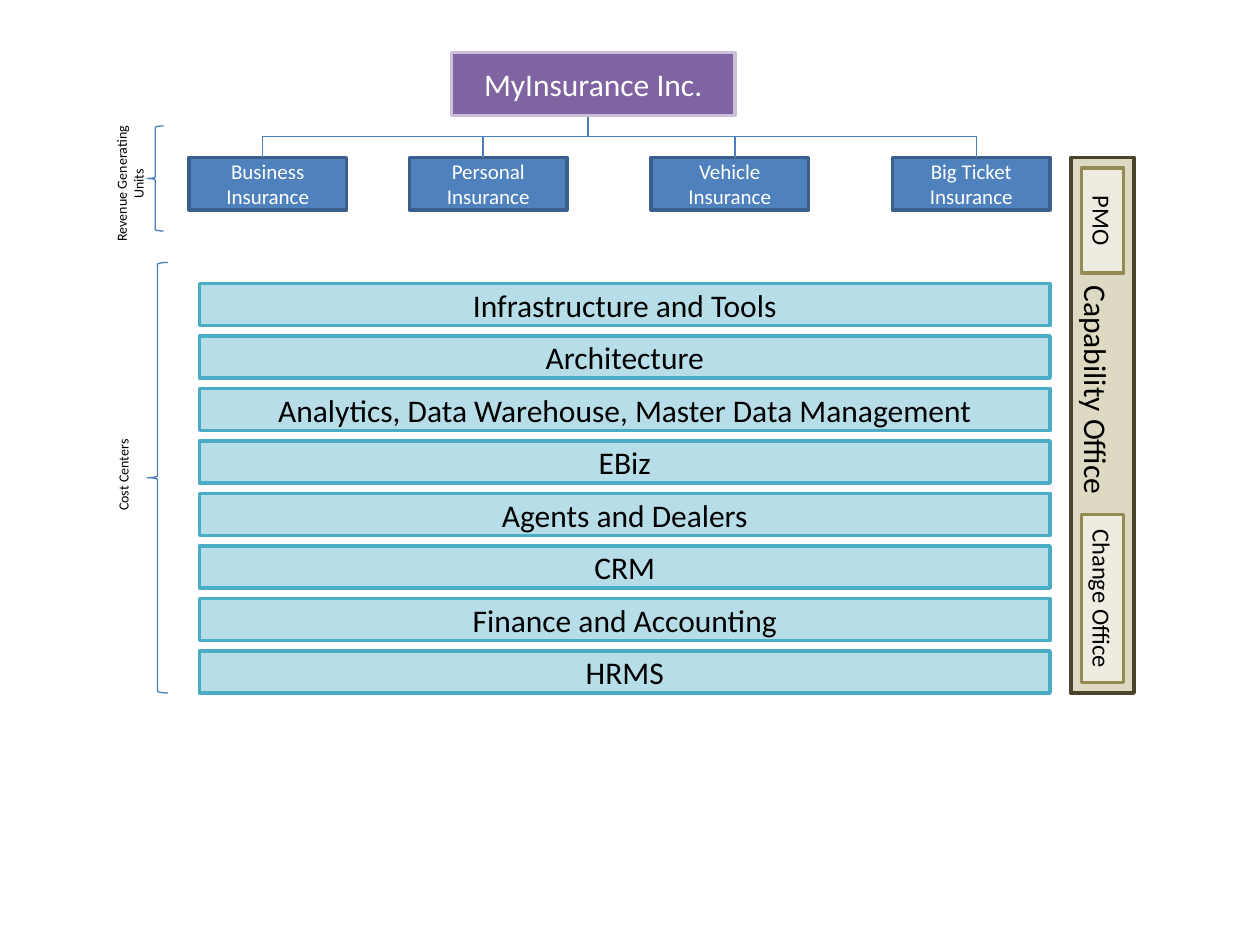
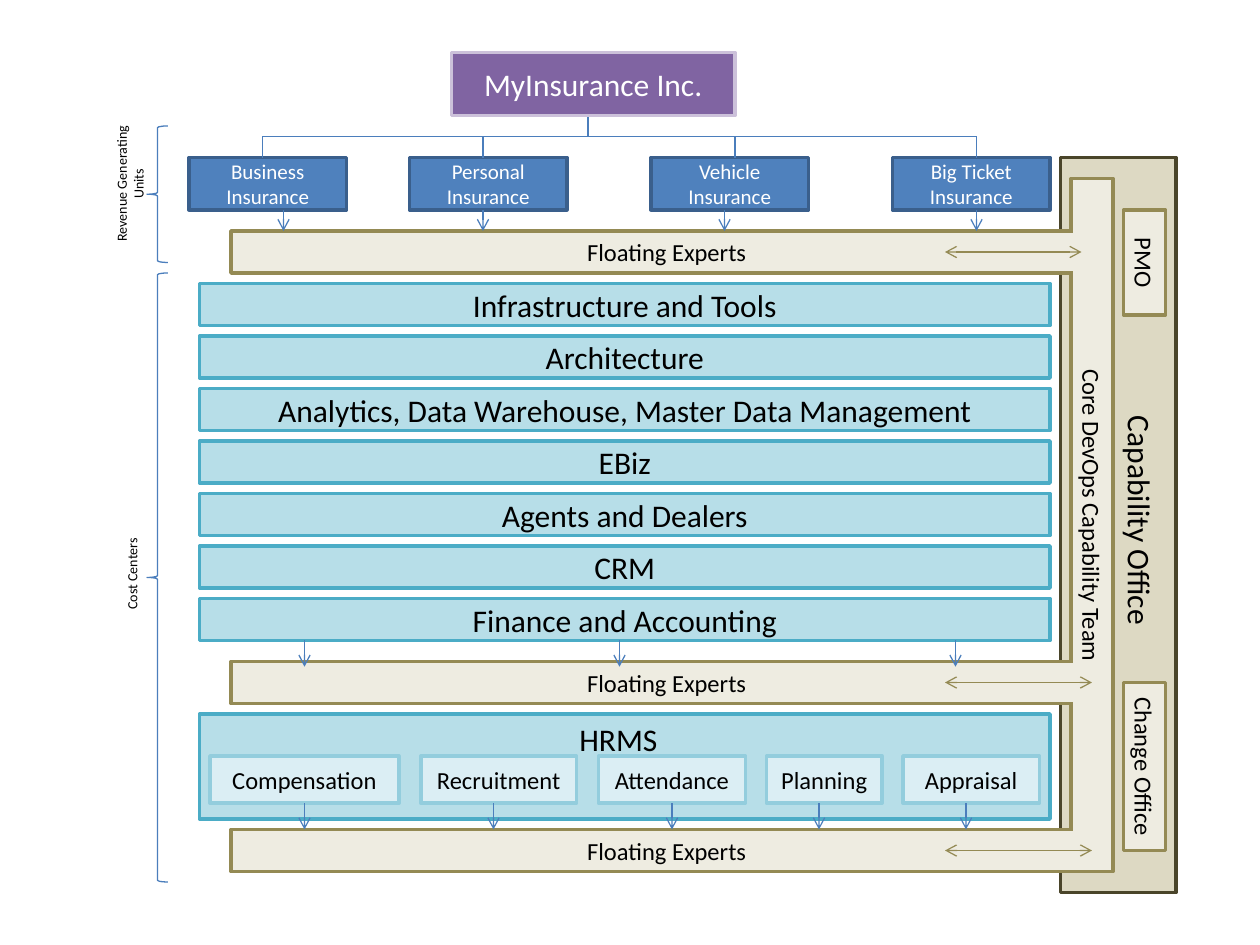
"""Build two slides showing an insurer's organisation before and after adding a DevOps capability team."""
import pptx
import pptx.dml.color
import pptx.enum.shapes
import pptx.enum.text
import pptx.oxml.ns
import pptx.util
from lxml import etree

Pt = pptx.util.Pt
color = pptx.dml.color.RGBColor.from_string
SHAPES = pptx.enum.shapes.MSO_SHAPE
ALIGN = pptx.enum.text.PP_ALIGN
FONT = "Calibri"
BLUE = "4B7EBC"
OLIVE = "948A54"
CREAM = "EEECE1"

# style: fill, outline, font colour, font size, alignment
STYLES = {
    "company": ("8064A2", "CCC1DA", "FFFFFF", 18, ALIGN.CENTER),
    "unit": ("4F81BD", "3A5F8C", "FFFFFF", 12, ALIGN.CENTER),
    "cost center": ("B7DEE8", "4BACC6", "000000", 18, ALIGN.CENTER),
    "function": ("DBEEF4", "93CDDD", "000000", 14, ALIGN.CENTER),
    "office": ("DDD9C3", "4A452A", "000000", 18, ALIGN.CENTER),
    "team": (CREAM, OLIVE, "000000", 14, ALIGN.CENTER),
    "opening": (CREAM, CREAM, "000000", 14, ALIGN.CENTER),
    "heading": (None, None, "000000", 18, ALIGN.LEFT),
    "label": (None, None, "000000", 8, ALIGN.CENTER),
}


def add_box(slide, style, bounds, text="", rotation=0):
    """Add a styled box whose visible bounds hold after a quarter turn."""
    fill, outline, font_color, size, alignment = STYLES[style]
    left, top, width, height = bounds
    if rotation:
        left, top = left + (width - height) / 2, top + (height - width) / 2
        width, height = height, width
    place = [Pt(length) for length in (left, top, width, height)]
    if fill:
        shape = slide.shapes.add_shape(SHAPES.RECTANGLE, *place)
        shape.shadow.inherit = False
        shape.fill.solid()
        shape.fill.fore_color.rgb = color(fill)
        shape.line.color.rgb = color(outline)
        shape.line.width = Pt(2)
        shape.text_frame.vertical_anchor = pptx.enum.text.MSO_ANCHOR.MIDDLE
    else:
        shape = slide.shapes.add_textbox(*place)
        shape.text_frame.word_wrap = False
        shape.text_frame.auto_size = pptx.enum.text.MSO_AUTO_SIZE.SHAPE_TO_FIT_TEXT
    shape.rotation = rotation
    shape.text_frame.text = text
    for paragraph in shape.text_frame.paragraphs:
        paragraph.alignment = alignment
        paragraph.font.name = FONT
        paragraph.font.size = Pt(size)
        paragraph.font.color.rgb = color(font_color)
    return shape


def add_line(slide, start, end, line_color=BLUE, arrowheads=()):
    """Add a thin straight connector with the named arrowheads."""
    connector = slide.shapes.add_connector(
        pptx.enum.shapes.MSO_CONNECTOR.STRAIGHT, *[Pt(length) for length in (*start, *end)])
    connector.line.color.rgb = color(line_color)
    connector.line.width = Pt(0.75)
    for arrowhead in arrowheads:
        etree.SubElement(connector.line._get_or_add_ln(), pptx.oxml.ns.qn(arrowhead), type="arrow")
    etree.SubElement(connector._element.spPr, pptx.oxml.ns.qn("a:effectLst"))
    return connector


presentation = pptx.Presentation()
presentation.slide_width = Pt(720)
presentation.slide_height = Pt(540)

UNITS = [("Business", 108, 150), ("Personal", 234, 276), ("Vehicle", 372, 420), ("Big Ticket", 510, 558)]
COST_CENTERS = ["Infrastructure and Tools", "Architecture", "Analytics, Data Warehouse, Master Data Management",
                "EBiz", "Agents and Dealers", "CRM", "Finance and Accounting", "HRMS"]
LAYOUTS = [
    {"office": (612, 90, 36, 306), "heading": (612, 156, 29, 135),
     "PMO": (618, 96, 24, 60), "Change Office": (618, 294, 24, 96),
     "braces": [(84, 72, 9.5, 60), (84, 150, 12, 246)],
     "cost label": (62, 243.5, 17, 56), "bars": COST_CENTERS, "experts": []},
    {"office": (606, 90, 66, 420), "heading": (637, 230.5, 29, 135),
     "PMO": (642, 120, 24, 60), "Change Office": (642, 390, 24, 96),
     "braces": [(84, 72, 12, 78), (84, 156, 12, 348)],
     "cost label": (67, 300, 17, 56), "bars": COST_CENTERS[:-1], "experts": [132, 378, 474]},
]

for layout in LAYOUTS:
    slide = presentation.slides.add_slide(presentation.slide_layouts[6])
    add_box(slide, "office", layout["office"], rotation=90)
    for top in layout["experts"]:
        add_box(slide, "team", (132, top, 498, 24), "Floating Experts")

    add_line(slide, (336, 78), (336, 60))
    add_box(slide, "company", (258, 30, 162, 36), "MyInsurance Inc.")
    add_line(slide, (150, 78), (558, 78))
    for name, left, stem in UNITS:
        add_box(slide, "unit", (left, 90, 90, 30), f"{name} Insurance")
        add_line(slide, (stem, 78), (stem, 90))

    for bounds in layout["braces"]:
        brace = slide.shapes.add_shape(SHAPES.LEFT_BRACE, *[Pt(length) for length in bounds])
        brace.shadow.inherit = False
        brace.fill.background()
        brace.line.color.rgb = color(BLUE)
        brace.line.width = Pt(0.75)
    add_box(slide, "label", (61, 64, 26.5, 82), "Revenue Generating\nUnits", 270)
    add_box(slide, "label", layout["cost label"], "Cost Centers", 270)

    for row, name in enumerate(layout["bars"]):
        add_box(slide, "cost center", (114, 162 + 30 * row, 486, 24), name)

    add_box(slide, "heading", layout["heading"], "Capability Office", 90)
    for name in ("PMO", "Change Office"):
        add_box(slide, "team", layout[name], name, 90)

add_box(slide, "cost center", (114, 408, 486, 60))
add_box(slide, "heading", (324, 408, 60, 29), "HRMS")
FUNCTIONS = [("Compensation", 120, 108, 174), ("Recruitment", 240.5, 89, 282), ("Attendance", 342, 84, 384),
             ("Planning", 438, 66, 468), ("Appraisal", 516, 78, 552)]
for name, left, width, arrow in FUNCTIONS:
    function_box = add_box(slide, "function", (left, 432, width, 27), name)
    connector = add_line(slide, (arrow, 459), (arrow, 474), arrowheads=["a:tailEnd"])
    if arrow == left + width / 2:
        connector.begin_connect(function_box, 2)

for arrow in (174, 354, 546):
    add_line(slide, (arrow, 366), (arrow, 381), arrowheads=["a:tailEnd"])
for arrow in (162, 276, 414, 558):
    add_line(slide, (arrow, 120), (arrow, 132), arrowheads=["a:tailEnd"])

core_team = add_box(slide, "team", (612, 102, 24, 396), "Core DevOps Capability Team", 90)
core_team.text_frame.margin_right = Pt(18)
for top, arrow_end in zip(layout["experts"], (618, 624, 624)):
    add_box(slide, "opening", (606, top + 2, 12, 20))
    add_line(slide, (540, top + 12), (arrow_end, top + 12), OLIVE, ["a:headEnd", "a:tailEnd"])

presentation.save("out.pptx")
